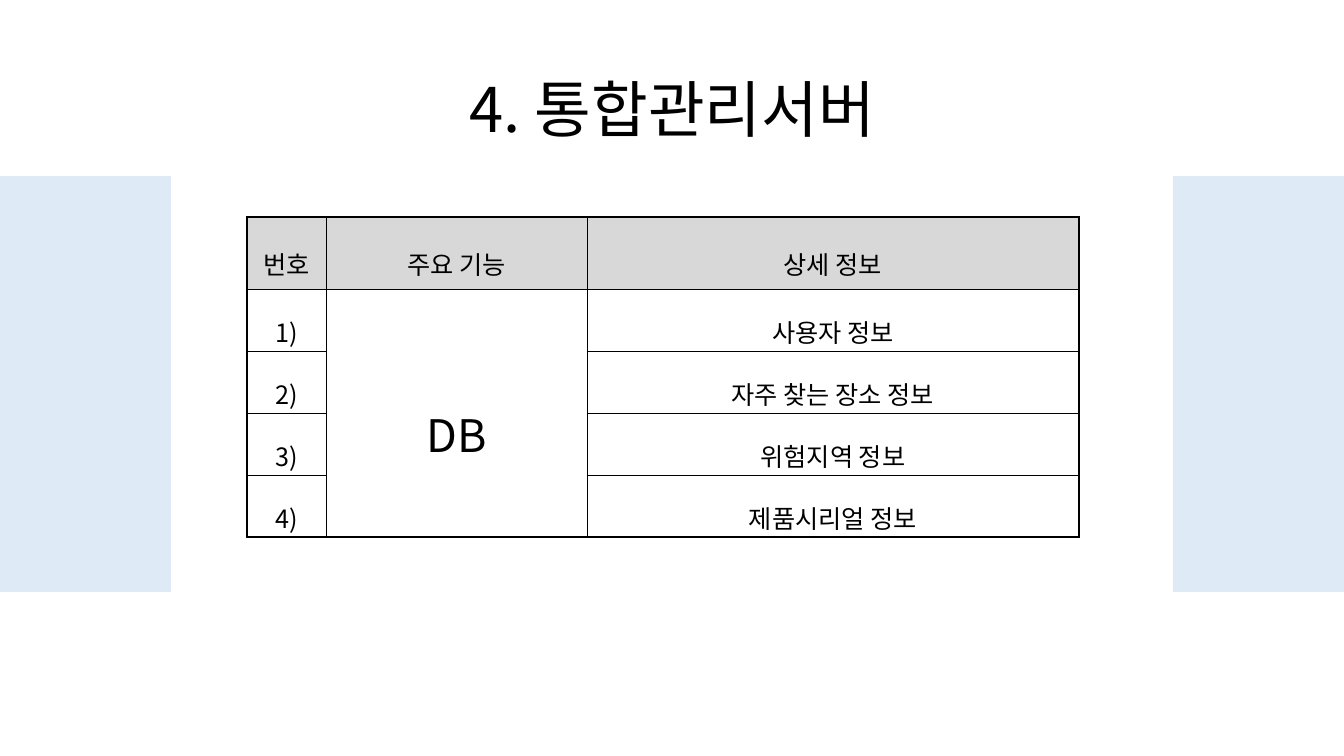
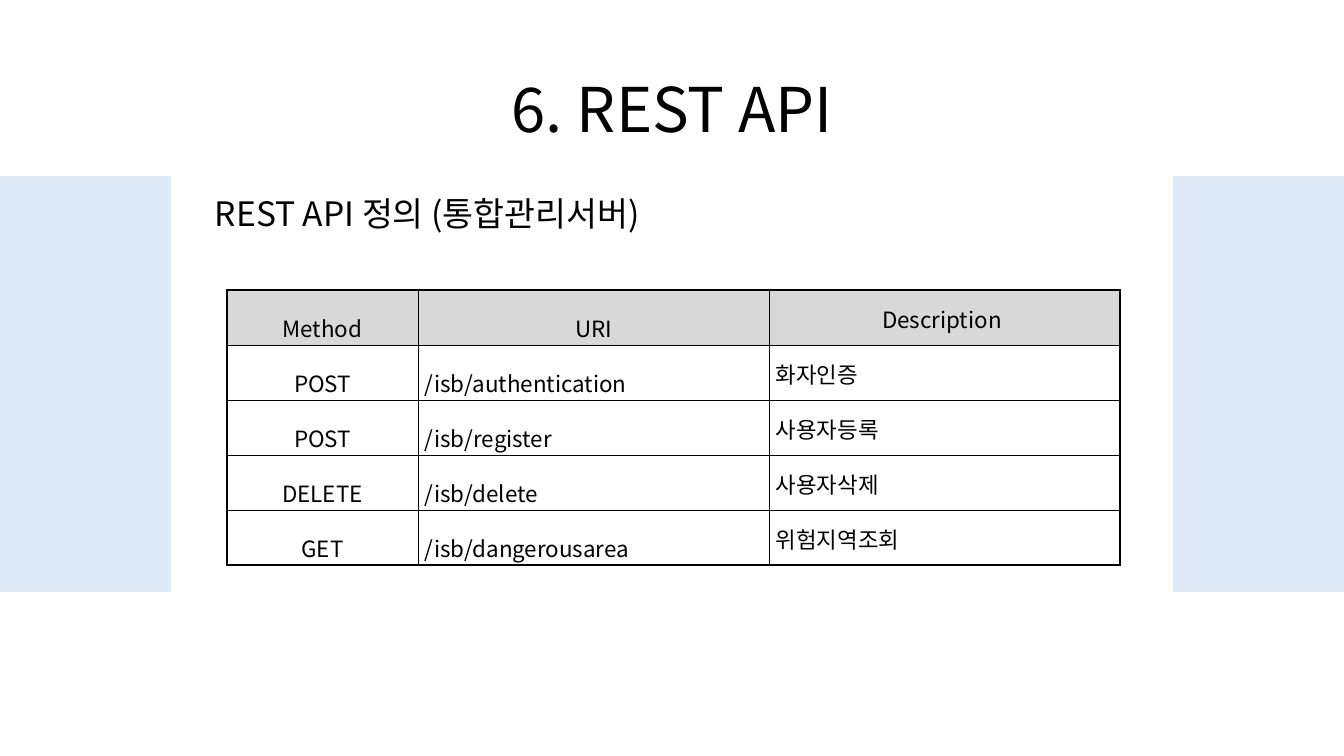
from pptx import Presentation
from pptx.dml.color import RGBColor
from pptx.enum.shapes import MSO_SHAPE
from pptx.enum.text import MSO_ANCHOR, PP_ALIGN
from pptx.oxml.ns import qn
from pptx.util import Emu, Pt
from lxml import etree

RECTANGLE = MSO_SHAPE.RECTANGLE
TOP, MIDDLE = MSO_ANCHOR.TOP, MSO_ANCHOR.MIDDLE
LEFT, CENTER = PP_ALIGN.LEFT, PP_ALIGN.CENTER

# Shared look
FONT = "Noto Sans CJK KR"
BLACK, WHITE = "000000", "FFFFFF"
BAND_BLUE, HEADER_GRAY = "DEEBF7", "D8D8D8"
SLIDE_WIDTH, SLIDE_HEIGHT = 1344, 756
BAND_TOP, BAND_WIDTH, BAND_HEIGHT = 176, 171, 416
THIN, MEDIUM, THICK = 0.28, 1.7, 1.98
PLAIN_TABLE_STYLE = "{2D5ABB26-0587-4C30-8999-92F81FD0307C}"


def px(pixels):
    return Emu(round(pixels * 914400 / 100.8))


def color(hex_string):
    return RGBColor.from_string(hex_string)


def add_text(paragraph, text, size, align=LEFT, spacing=None):
    paragraph.alignment = align
    if spacing:
        paragraph.line_spacing = spacing
    run = paragraph.add_run()
    run.text = text
    run.font.size = Pt(size)
    run.font.name = FONT
    run.font.color.rgb = color(BLACK)
    east_asian = etree.SubElement(run.font._element, qn("a:ea"))
    east_asian.set("typeface", FONT)


def add_text_box(slide, box, text, size, align=LEFT, anchor=TOP, spacing=None):
    shape = slide.shapes.add_textbox(*map(px, box))
    frame = shape.text_frame
    frame.word_wrap = True
    frame.vertical_anchor = anchor
    add_text(frame.paragraphs[0], text, size, align, spacing)


def add_band(slide, left):
    shape = slide.shapes.add_shape(
        RECTANGLE, px(left), px(BAND_TOP), px(BAND_WIDTH), px(BAND_HEIGHT))
    shape.shadow.inherit = False
    shape.fill.solid()
    shape.fill.fore_color.rgb = color(BAND_BLUE)
    shape.line.fill.background()


def add_base_slide(presentation, title):
    slide = presentation.slides.add_slide(presentation.slide_layouts[6])
    slide.background.fill.solid()
    slide.background.fill.fore_color.rgb = color(WHITE)
    add_text_box(slide, (93, 40, 1159, 146), title, 44, CENTER, MIDDLE, 0.9)
    for left in (0, SLIDE_WIDTH - BAND_WIDTH):
        add_band(slide, left)
    return slide


def set_borders(cell, left, right, top, bottom):
    properties = cell._tc.get_or_add_tcPr()
    sides = {"a:lnL": left, "a:lnR": right, "a:lnT": top, "a:lnB": bottom}
    for tag, width in sides.items():
        line = etree.SubElement(properties, qn(tag), w=str(Pt(width)))
        fill = etree.SubElement(line, qn("a:solidFill"))
        etree.SubElement(fill, qn("a:srgbClr"), val=BLACK)


def style_cell(cell, fill):
    cell.margin_left = cell.margin_right = px(7)
    cell.margin_top = cell.margin_bottom = px(2)
    cell.vertical_anchor = MIDDLE
    if fill:
        cell.fill.solid()
        cell.fill.fore_color.rgb = color(fill)
    else:
        cell.fill.background()


def add_grid(slide, left, top, widths, heights, merged_column=None):
    """Add an unstyled table, optionally merging one column below its header."""
    frame = slide.shapes.add_table(
        len(heights), len(widths), px(left), px(top),
        px(sum(widths)), px(sum(heights)))
    table = frame.table
    table.first_row = table.horz_banding = False
    table._tbl.tblPr.find(qn("a:tableStyleId")).text = PLAIN_TABLE_STYLE
    for column, width in zip(table.columns, widths):
        column.width = px(width)
    for row, height in zip(table.rows, heights):
        row.height = px(height)
    if merged_column is not None:
        table.cell(1, merged_column).merge(
            table.cell(len(heights) - 1, merged_column))
    return table


def fill_grid(table, rows, size, body_aligns, spacings, body_edge, sizes=None):
    """Write the rows; outer edges are heavy and inner lines are thin."""
    sizes = sizes or {}
    last_row, last_column = len(rows) - 1, len(rows[0]) - 1
    for row_index, texts in enumerate(rows):
        header = row_index == 0
        for column_index, text in enumerate(texts):
            cell = table.cell(row_index, column_index)
            if cell.is_spanned:
                continue
            end_row = row_index
            if cell.is_merge_origin:
                end_row += cell.span_height - 1
            edge = MEDIUM if header else body_edge
            set_borders(
                cell,
                left=MEDIUM if column_index == 0 else THIN,
                right=edge if column_index == last_column else THIN,
                top=MEDIUM if header else THIN,
                bottom=body_edge if end_row == last_row else THIN)
            style_cell(cell, HEADER_GRAY if header else None)
            add_text(
                cell.text_frame.paragraphs[0], text, sizes.get(text, size),
                CENTER if header else body_aligns[column_index],
                spacings[column_index])


def build_server_slide(presentation):
    slide = add_base_slide(presentation, "4. 통합관리서버")
    rows = [
        ("번호", "주요 기능", "상세 정보"),
        ("1)", "DB", "사용자 정보"),
        ("2)", "", "자주 찾는 장소 정보"),
        ("3)", "", "위험지역 정보"),
        ("4)", "", "제품시리얼 정보"),
    ]
    table = add_grid(slide, 247, 217, (79, 261, 492), [72] + [62] * 4,
                     merged_column=1)
    fill_grid(table, rows, 18, (CENTER,) * 3, (1.6,) * 3, THICK, {"DB": 32})


def build_api_slide(presentation):
    slide = add_base_slide(presentation, "6. REST API")
    rows = [
        ("Method", "URI", "Description "),
        ("POST", "/isb/authentication", "화자인증"),
        ("POST", "/isb/register", "사용자등록"),
        ("DELETE", "/isb/delete", "사용자삭제"),
        ("GET", "/isb/dangerousarea", "위험지역조회"),
    ]
    table = add_grid(slide, 227, 290, (191, 351, 351), [55] * 5)
    fill_grid(table, rows, 16, (CENTER, LEFT, LEFT), (1.6, 1.6, 1.1), MEDIUM)
    add_text_box(slide, (205, 188, 468, 50),
                 "REST API 정의 (통합관리서버)", 24)


def main():
    presentation = Presentation()
    presentation.slide_width = px(SLIDE_WIDTH)
    presentation.slide_height = px(SLIDE_HEIGHT)
    build_server_slide(presentation)
    build_api_slide(presentation)
    presentation.save("out.pptx")


main()
